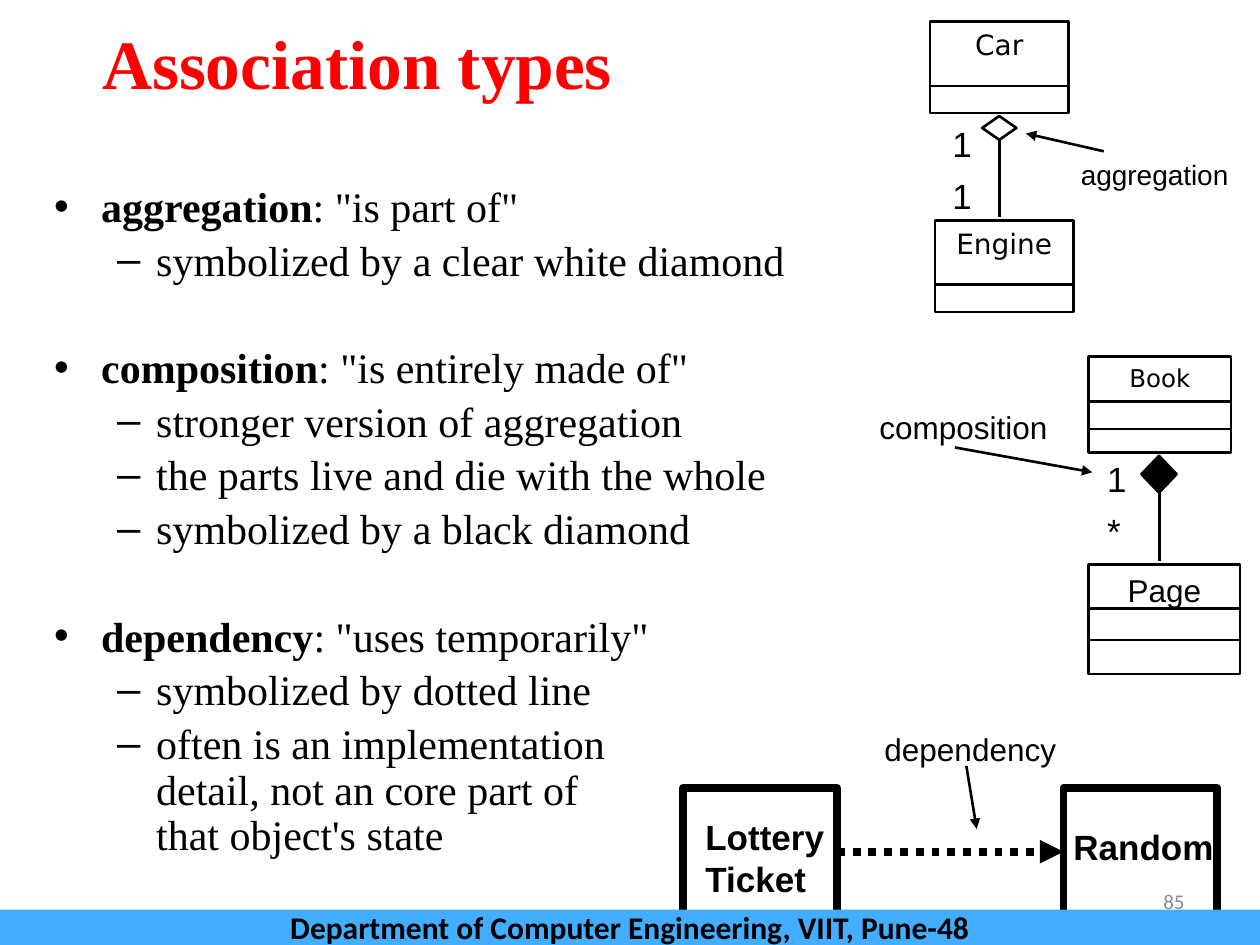
from pptx import Presentation
from pptx import util as u
from pptx.dml.color import RGBColor
from pptx.enum import dml, shapes, text
from pptx.oxml.xmlchemy import OxmlElement

HUES = {"ink": "000000", "title": "FF0000", "bar": "43AEFF", "page": "8C8C8C"}
ALIGN = text.PP_ALIGN
TOP, MID = text.MSO_ANCHOR.TOP, text.MSO_ANCHOR.MIDDLE
SHAPE = shapes.MSO_SHAPE

POINTS = [
    ("aggregation", ': "is part of"', ["symbolized by a clear white diamond"]),
    ("composition", ': "is entirely made of"', [
        "stronger version of aggregation",
        "the parts live and die with the whole",
        "symbolized by a black diamond"]),
    ("dependency", ': "uses temporarily"', [
        "symbolized by dotted line",
        "often is an implementation\ndetail, not an core part of\nthat object's state"]),
]


def hue(name):
    return RGBColor.from_string(HUES[name])


def cms(*sizes):
    return [u.Cm(size) for size in sizes]


def write(para, words, size, face="Arial", ink="ink", bold=False):
    for row, line in enumerate(words.split("\n")):
        if row:
            para.add_line_break()
        run = para.add_run()
        run.text = line
        font = run.font
        font.size, font.name, font.bold = u.Pt(size), face, bold
        font.color.rgb = hue(ink)


def fill_text(item, words, size, align=ALIGN.LEFT, anchor=TOP, **look):
    frame = item.text_frame
    frame.word_wrap = True
    frame.vertical_anchor = anchor
    frame.paragraphs[0].alignment = align
    write(frame.paragraphs[0], words, size, **look)


def label(slide, box, words, size, **look):
    fill_text(slide.shapes.add_textbox(*cms(*box)), words, size, **look)


def block(slide, box, kind=SHAPE.RECTANGLE, fill=None, width=1.5):
    item = slide.shapes.add_shape(kind, *cms(*box))
    item.shadow.inherit = False
    if fill:
        item.fill.solid()
        item.fill.fore_color.rgb = hue(fill)
    else:
        item.fill.background()
    if width:
        item.line.color.rgb = hue("ink")
        item.line.width = u.Pt(width)
    else:
        item.line.fill.background()
    return item


def link(slide, x1, y1, x2, y2, width=1.5, arrow=False, dots=False):
    item = slide.shapes.add_connector(
        shapes.MSO_CONNECTOR.STRAIGHT, *cms(x1, y1, x2, y2))
    item.line.color.rgb = hue("ink")
    item.line.width = u.Pt(width)
    if dots:
        item.line.dash_style = dml.MSO_LINE.ROUND_DOT
    if arrow:
        tail = OxmlElement("a:tailEnd")
        tail.set("type", "triangle")
        item.line._get_or_add_ln().append(tail)
    item._element.spPr.append(OxmlElement("a:effectLst"))


def uml(slide, box, name, size, rules, face="DejaVu Sans"):
    x, y, w, h = box
    fill_text(block(slide, box), name, size, ALIGN.CENTER, face=face)
    for drop in rules:
        link(slide, x, y + drop, x + w, y + drop)


def bullet(para, mark, left, hang):
    props = para._p.get_or_add_pPr()
    props.set("marL", str(u.Cm(left)))
    props.set("indent", str(-u.Cm(hang)))
    font = OxmlElement("a:buFont")
    font.set("typeface", "Arial")
    sign = OxmlElement("a:buChar")
    sign.set("char", mark)
    props.append(font)
    props.append(sign)
    para.line_spacing = u.Pt(26)


def title(slide, box):
    label(slide, box, "Association types", 39.6, align=ALIGN.CENTER, anchor=MID,
          face="Times New Roman", ink="title", bold=True)


def outline(slide, box):
    frame = slide.shapes.add_textbox(*cms(*box)).text_frame
    frame.word_wrap = True
    look = {"size": 24, "face": "Times New Roman"}
    for row, (term, rest, notes) in enumerate(POINTS):
        para = frame.add_paragraph() if row else frame.paragraphs[0]
        bullet(para, "•", 0.95, 0.95)
        if row:
            para.space_before = u.Pt(35.4)
        write(para, term, bold=True, **look)
        write(para, rest, **look)
        for note in notes:
            para = frame.add_paragraph()
            para.level = 1
            bullet(para, "–", 2.06, 0.79)
            para.space_before = u.Pt(4.7)
            write(para, note, **look)


def counts(slide, x, y, marks):
    for row, mark in enumerate(marks):
        label(slide, (x, y + 1.05 * row, 1.2, 1.09), mark, 20)


def engine(slide, box):
    x, y, w, h = box
    counts(slide, x + 0.2, y + 1.91, "11")
    for name, dx, dy in (("Car", 0, 0), ("Engine", 0.1, 4.01)):
        uml(slide, (x + dx, y + dy, 2.79, 1.85), name, 16, [1.3])
    link(slide, x + 1.4, y + 2.39, x + 1.4, y + 3.94)
    block(slide, (x + 1.05, y + 1.91, 0.69, 0.48), SHAPE.DIAMOND)
    label(slide, (x + 2.79, y + 2.62, w - 2.79, 0.94), "aggregation", 16)
    link(slide, x + 3.5, y + 2.62, x + 1.93, y + 2.26, arrow=True)


def book(slide, box):
    x, y, w, h = box
    uml(slide, (x + 4.47, y + 4.19, 3.05, 2.21), "Page", 18, [0.89, 1.52], "Arial")
    uml(slide, (x + 4.47, y, 2.87, 1.93), "Book", 14, [0.91, 1.46])
    link(slide, x + 5.89, y + 2.74, x + 5.89, y + 4.11)
    block(slide, (x + 5.53, y + 2, 0.71, 0.74), SHAPE.DIAMOND, "ink")
    label(slide, (x, y + 0.91, 3.94, 1.02), "composition", 18)
    link(slide, x + 1.77, y + 1.83, x + 4.54, y + 2.33, arrow=True)
    counts(slide, x + 4.59, y + 1.9, "1*")


def ticket(slide, box):
    x, y, w, h = box
    side = 3.1
    for left in (x, x + w - side):
        block(slide, (left, y + 1.28, side, 2.74), width=4.5)
    link(slide, x + side, y + 2.57, x + w - side, y + 2.57, 4.5, True, True)
    label(slide, (x + 0.2, y + 1.71, 3.2, 1.96), "Lottery\nTicket", 20, bold=True)
    label(slide, (x + 7.62, y + 1.91, 3.61, 1.09), "Random", 20, bold=True)
    label(slide, (x + 3.81, y, 4.45, 1.02), "dependency", 18)
    link(slide, x + 5.71, y + 0.84, x + 5.92, y + 2.11, arrow=True)


def footer(slide, box):
    x, y, w, h = box
    label(slide, (x + 18.21, y - 0.69, 5.92, 1.02), "85", 12,
          align=ALIGN.RIGHT, anchor=MID, face="Calibri", ink="page")
    bar = block(slide, box, fill="bar", width=0)
    fill_text(bar, "Department of Computer Engineering, VIIT, Pune-48", 18,
              ALIGN.CENTER, MID, face="Calibri", bold=True)


def main():
    deck = Presentation()
    deck.slide_width, deck.slide_height = cms(25.4, 19.05)
    slide = deck.slides.add_slide(deck.slide_layouts[6])
    title(slide, (1.27, 0.76, 11.86, 0.97))
    outline(slide, (0.84, 3.61, 16.94, 14.5))
    engine(slide, (18.75, 0.43, 6.65, 5.86))
    ticket(slide, (13.77, 14.6, 10.77, 4.02))
    book(slide, (17.48, 7.19, 7.52, 6.4))
    footer(slide, (0, 18.34, 25.4, 0.71))
    deck.save("out.pptx")


if __name__ == "__main__":
    main()
